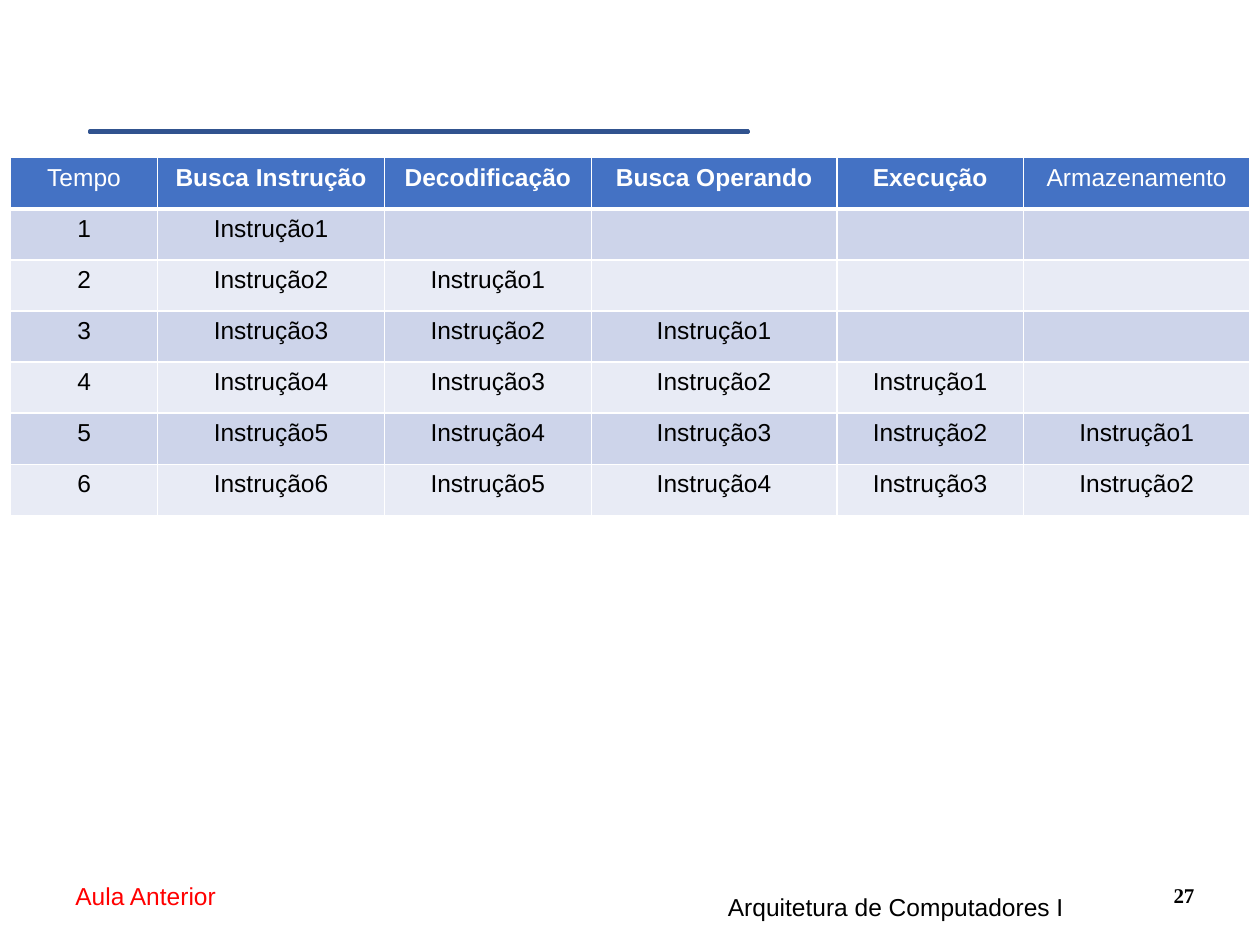
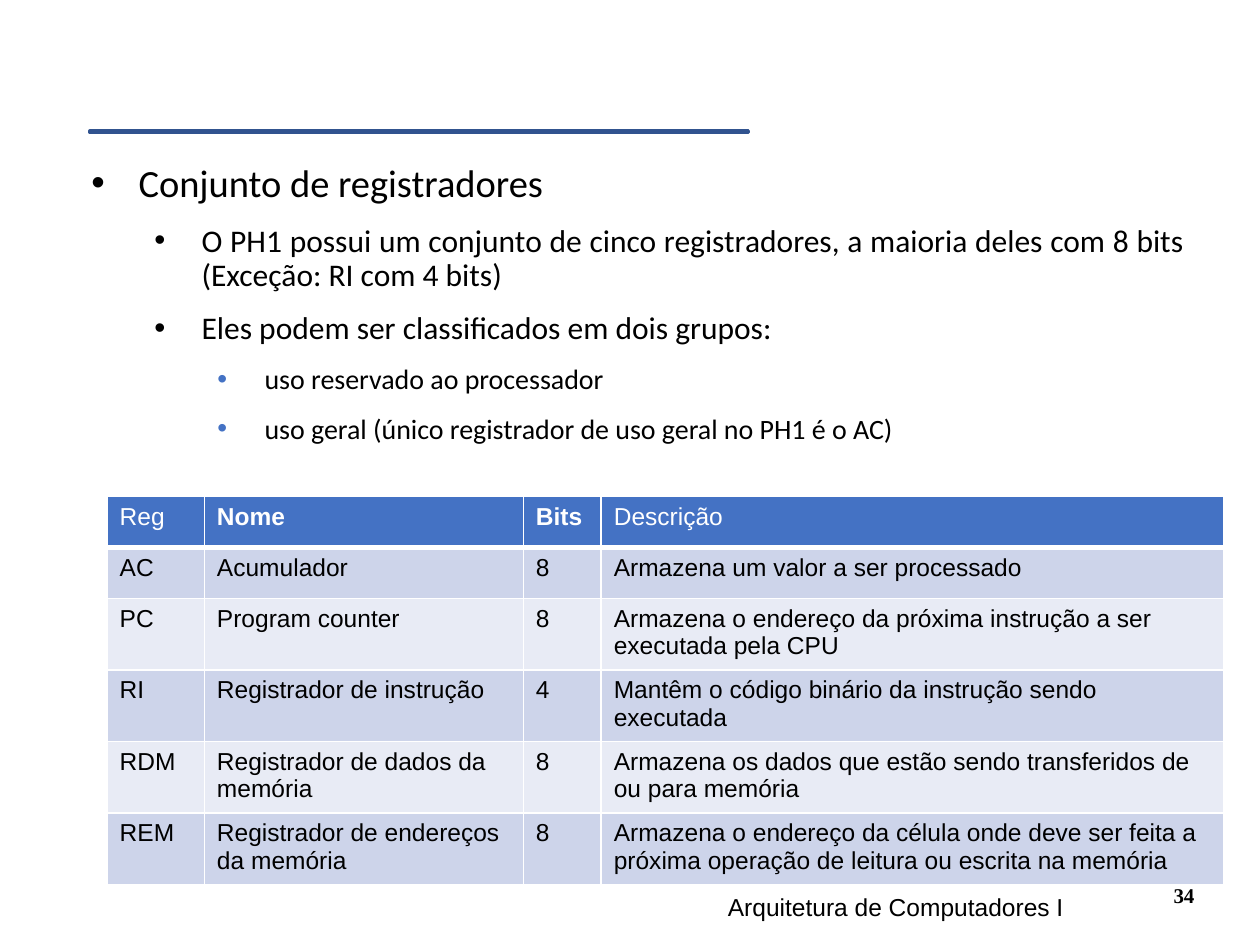
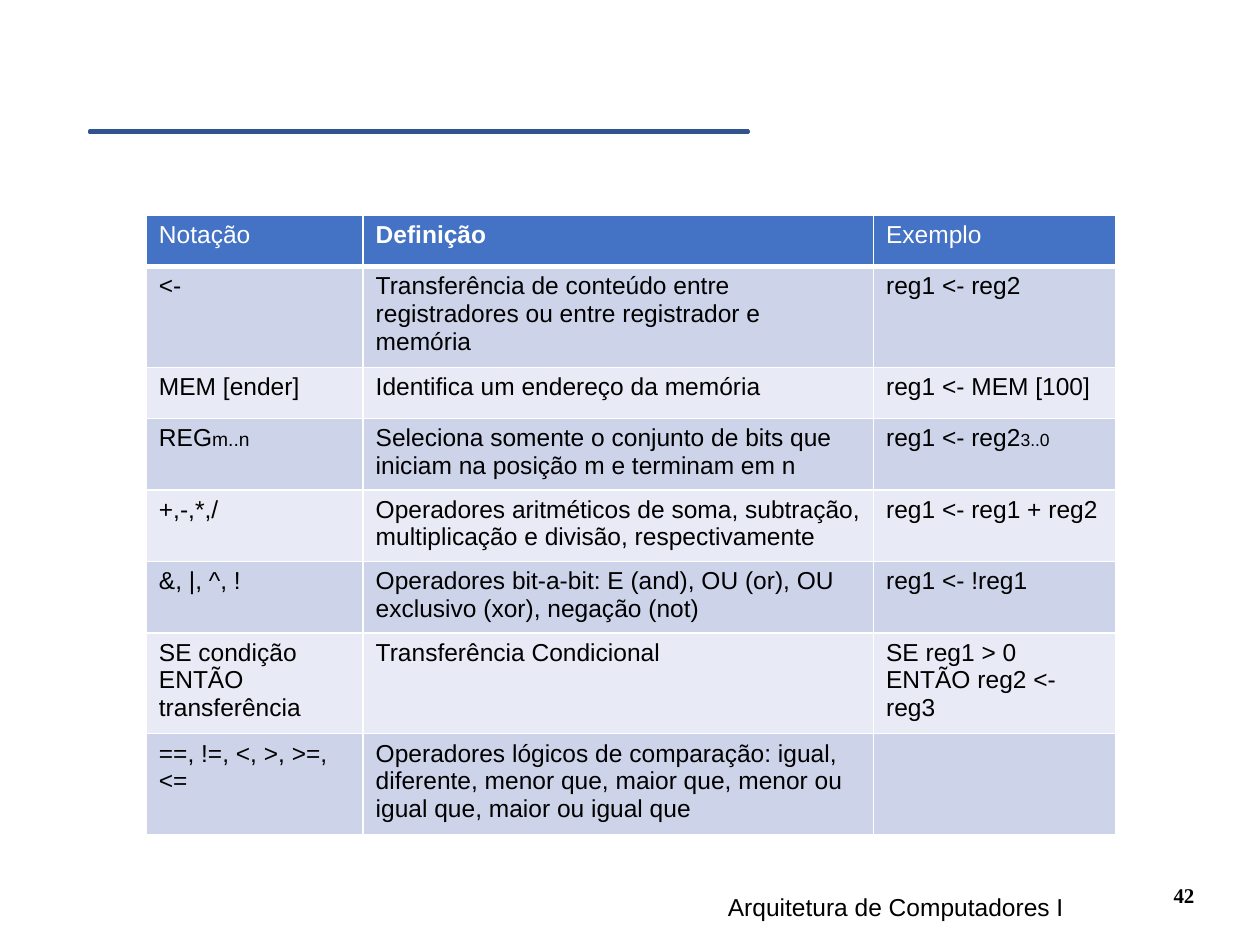
import pptx
import pptx.dml.color
import pptx.enum.shapes
import pptx.enum.text
import pptx.oxml
import pptx.oxml.ns
import pptx.util

Cm = pptx.util.Cm
Pt = pptx.util.Pt
ALIGN = pptx.enum.text.PP_ALIGN
ANCHOR = pptx.enum.text.MSO_ANCHOR

COLOURS = {
    "text": "000000",
    "white": "FFFFFF",
    "accent": "4472C4",
    "accent_dark": "31538F",
    "note": "FF0000",
    "band_dark": "CDD4EA",
    "band_light": "E8EBF5",
}
FORMATS = {
    "plain": {"name": "Arial", "size": Pt(14), "bold": False},
    "heading": {"name": "Arial", "size": Pt(14), "bold": True},
    "number": {"name": "Times New Roman", "size": Pt(12), "bold": True},
}
BULLETS = [
    {"size": 22, "before": 10, "bullet": "text"},
    {"size": 18, "before": 11, "bullet": "text"},
    {"size": 16, "before": 11, "bullet": "accent"},
]
COURSE = "Arquitetura de Computadores I"
LAYOUT_CONTENT, LAYOUT_BLANK = 1, 6
ROW_HEIGHT = 1.03


def colour(name):
    return pptx.dml.color.RGBColor.from_string(COLOURS[name])


def apply(target, values):
    for attribute, value in values.items():
        setattr(target, attribute, value)


class Deck:
    def __init__(self):
        self.presentation = pptx.Presentation()
        self.presentation.slide_width = Cm(25.4)
        self.presentation.slide_height = Cm(19.05)
        self.slide = None

    def start(self, number, layout=LAYOUT_BLANK):
        layouts = self.presentation.slide_layouts
        self.slide = self.presentation.slides.add_slide(layouts[layout])
        self.rule()
        self.text(str(number), (17.78, 17.15, 6.55, 1.27), "number",
                  align=ALIGN.RIGHT, anchor=ANCHOR.BOTTOM)
        self.text(COURSE, (12.42, 17.86, 11.28, 1.27), align=ALIGN.CENTER)

    def rule(self):
        shape = self.slide.shapes.add_shape(
            pptx.enum.shapes.MSO_SHAPE.MATH_MINUS,
            Cm(-0.58), Cm(2.59), Cm(18.06), Cm(0.13))
        shape.adjustments[0] = 0.235
        shape.shadow.inherit = False
        shape.fill.solid()
        shape.fill.fore_color.rgb = colour("accent")
        shape.line.color.rgb = colour("accent_dark")
        shape.line.width = Pt(2)

    def run(self, paragraph, text, values, colour_name="text"):
        run = paragraph.add_run()
        run.text = text
        apply(run.font, values)
        run.font.color.rgb = colour(colour_name)

    def text(self, text, box, style="plain", colour_name="text",
             align=ALIGN.LEFT, anchor=ANCHOR.TOP):
        shape = self.slide.shapes.add_textbox(*map(Cm, box))
        apply(shape.text_frame, {"word_wrap": True, "vertical_anchor": anchor})
        paragraph = shape.text_frame.paragraphs[0]
        paragraph.alignment = align
        self.run(paragraph, text, FORMATS[style], colour_name)

    def bullet(self, paragraph, level, colour_name):
        properties = paragraph._p.get_or_add_pPr()
        properties.set("marL", str(Cm(1.27 * (level + 1))))
        properties.set("indent", str(Cm(-0.95)))
        namespace = pptx.oxml.ns.nsdecls("a")
        for xml in (
            f'<a:buClr {namespace}><a:srgbClr val="{COLOURS[colour_name]}"/></a:buClr>',
            f'<a:buFont {namespace} typeface="Arial"/>',
            f'<a:buChar {namespace} char="•"/>',
        ):
            properties.append(pptx.oxml.parse_xml(xml))

    def body(self, items, box):
        title = self.slide.shapes.title
        title.element.getparent().remove(title.element)
        shape = self.slide.placeholders[1]
        apply(shape, dict(zip(("left", "top", "width", "height"), map(Cm, box))))
        frame = shape.text_frame
        frame.auto_size = pptx.enum.text.MSO_AUTO_SIZE.NONE
        for index, (level, text) in enumerate(items):
            paragraph = frame.add_paragraph() if index else frame.paragraphs[0]
            style = BULLETS[level]
            self.bullet(paragraph, level, style["bullet"])
            apply(paragraph, {
                "level": level,
                "alignment": ALIGN.JUSTIFY,
                "line_spacing": 0.9,
                "space_before": Pt(style["before"] if index else 0),
                "space_after": Pt(0),
            })
            self.run(paragraph, text, {"name": "Calibri", "size": Pt(style["size"])})

    def borders(self, cell, row):
        properties = cell._tc.get_or_add_tcPr()
        widths = {"L": 1, "R": 1, "T": 3 if row == 1 else 1, "B": 1 if row else 3}
        for position, (side, width) in enumerate(widths.items()):
            properties.insert(position, pptx.oxml.parse_xml(
                f'<a:ln{side} {pptx.oxml.ns.nsdecls("a")} w="{Pt(width)}"><a:solidFill>'
                f'<a:srgbClr val="{COLOURS["white"]}"/></a:solidFill></a:ln{side}>'))

    def table(self, rows, left, top, widths, align=ALIGN.LEFT):
        table = self.slide.shapes.add_table(
            len(rows), len(widths), Cm(left), Cm(top),
            Cm(sum(widths)), Cm(ROW_HEIGHT * len(rows))).table
        for column, width in zip(table.columns, widths):
            column.width = Cm(width)
        for row_index, row in enumerate(rows):
            table.rows[row_index].height = Cm(ROW_HEIGHT)
            band = "band_dark" if row_index % 2 else "band_light"
            for column_index, content in enumerate(row):
                cell = table.cell(row_index, column_index)
                cell.fill.solid()
                cell.fill.fore_color.rgb = colour(band if row_index else "accent")
                self.borders(cell, row_index)
                inner = 0 < column_index < len(widths) - 1
                style = FORMATS["heading" if inner and not row_index else "plain"]
                self.fill_cell(cell, content, style, "text" if row_index else "white", align)

    def fill_cell(self, cell, content, style, colour_name, align):
        paragraph = cell.text_frame.paragraphs[0]
        paragraph.alignment = align
        text, suffix, size = content if isinstance(content, tuple) else (content, "", 0)
        if text:
            self.run(paragraph, text, style, colour_name)
        if suffix:
            self.run(paragraph, suffix, {**style, "size": Pt(size)}, colour_name)


STAGES = ["Busca Instrução", "Decodificação", "Busca Operando", "Execução", "Armazenamento"]
PIPELINE = [["Tempo", *STAGES]] + [
    [str(time)] + [f"Instrução{time - stage}" if time > stage else ""
                   for stage in range(len(STAGES))]
    for time in range(1, 7)
]
REGISTER_NOTES = [
    (0, "Conjunto de registradores"),
    (1, "O PH1 possui um conjunto de cinco registradores, a maioria deles com 8 bits "
        "(Exceção: RI com 4 bits)"),
    (1, "Eles podem ser classificados em dois grupos:"),
    (2, "uso reservado ao processador"),
    (2, "uso geral (único registrador de uso geral no PH1 é o AC)"),
]
REGISTERS = [
    ["Reg", "Nome", "Bits", "Descrição"],
    ["AC", "Acumulador", "8", "Armazena um valor a ser processado"],
    ["PC", "Program counter", "8",
     "Armazena o endereço da próxima instrução a ser executada pela CPU"],
    ["RI", "Registrador de instrução", "4",
     "Mantêm o código binário da instrução sendo executada"],
    ["RDM", "Registrador de dados da memória", "8",
     "Armazena os dados que estão sendo transferidos de ou para memória"],
    ["REM", "Registrador de endereços da memória", "8",
     "Armazena o endereço da célula onde deve ser feita a próxima operação de leitura "
     "ou escrita na memória"],
]
NOTATION = [
    ["Notação", "Definição", "Exemplo"],
    ["<-", "Transferência de conteúdo entre registradores ou entre registrador e memória",
     "reg1 <- reg2"],
    ["MEM [ender]", "Identifica um endereço da memória", "reg1 <- MEM [100]"],
    [("REG", "m..n", 11),
     "Seleciona somente o conjunto de bits que iniciam na posição m e terminam em n",
     ("reg1 <- reg2", "3..0", 10)],
    ["+,-,*,/",
     "Operadores aritméticos de soma, subtração, multiplicação e divisão, respectivamente",
     "reg1 <- reg1 + reg2"],
    ["&, |, ^, !",
     "Operadores bit-a-bit: E (and), OU (or), OU exclusivo (xor), negação (not)",
     "reg1 <- !reg1"],
    ["SE condição ENTÃO transferência", "Transferência Condicional",
     "SE reg1 > 0 ENTÃO reg2 <- reg3"],
    ["==, !=, <, >, >=, <=",
     "Operadores lógicos de comparação: igual, diferente, menor que, maior que, "
     "menor ou igual que, maior ou igual que", ""],
]


def main():
    deck = Deck()

    deck.start(27)
    deck.table(PIPELINE, 0.21, 3.18, [2.97, 4.57, 4.17, 4.95, 3.76, 4.57], ALIGN.CENTER)
    deck.text("Aula Anterior", (1.27, 17.63, 3.45, 0.86), colour_name="note")

    deck.start(34, LAYOUT_CONTENT)
    deck.body(REGISTER_NOTES, (1.27, 3.18, 22.86, 12.57))
    deck.table(REGISTERS, 2.16, 10.01, [1.96, 6.43, 1.57, 12.55])

    deck.start(42)
    deck.table(NOTATION, 2.95, 4.34, [4.37, 10.29, 4.88])

    deck.presentation.save("out.pptx")


if __name__ == "__main__":
    main()
